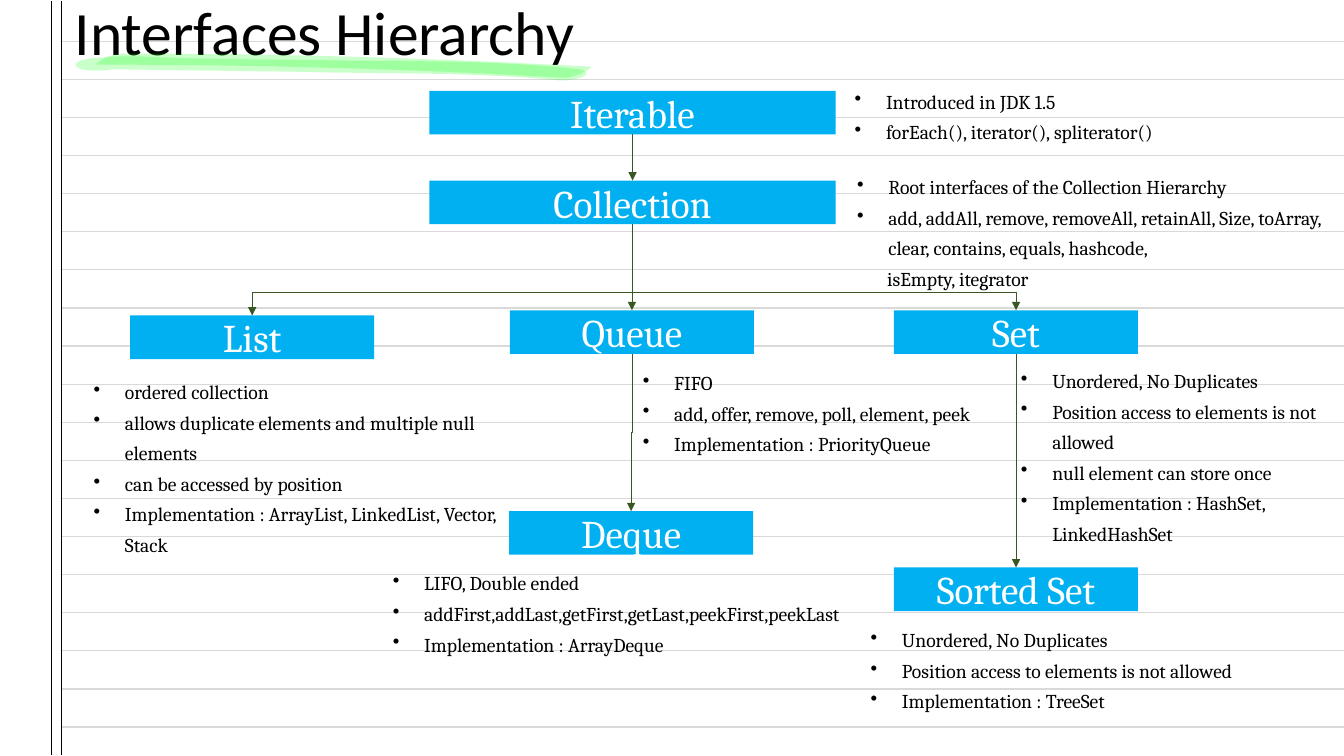
from lxml import etree
from pptx import Presentation
from pptx.dml.color import RGBColor
from pptx.enum.shapes import MSO_CONNECTOR, MSO_SHAPE
from pptx.enum.text import MSO_ANCHOR, PP_ALIGN
from pptx.oxml.ns import qn
from pptx.util import Cm, Pt

STRAIGHT, ELBOW = MSO_CONNECTOR.STRAIGHT, MSO_CONNECTOR.ELBOW
RECT, MIDDLE = MSO_SHAPE.RECTANGLE, MSO_ANCHOR.MIDDLE
LEFT, CENTER = PP_ALIGN.LEFT, PP_ALIGN.CENTER
BLACK = RGBColor(0x00, 0x00, 0x00)
WHITE = RGBColor(0xFF, 0xFF, 0xFF)
RULE = RGBColor(0xD9, 0xD9, 0xD9)
BLUE = RGBColor(0x00, 0xB0, 0xF0)
DARK_GREEN = RGBColor(0x38, 0x57, 0x23)
MARKER = RGBColor(0x00, 0xFF, 0x00)

TITLE = "Interfaces Hierarchy"
WIDE, NARROW, BOX_HEIGHT = 10.24, 6.15, 1.1
BOXES = {
    "Iterable": (10.82, 2.29, WIDE),
    "Collection": (10.82, 4.55, WIDE),
    "List": (3.28, 7.95, NARROW),
    "Queue": (12.85, 7.82, NARROW),
    "Set": (22.53, 7.82, NARROW),
    "Deque": (12.83, 12.88, NARROW),
    "Sorted Set": (22.53, 14.3, NARROW),
}
FORK_Y = 7.37
ARROWS = [
    ("Iterable", "Collection", None),
    ("Collection", "List", FORK_Y),
    ("Collection", "Set", FORK_Y),
    ("Collection", "Queue", None),
    ("Queue", "Deque", None),
    ("Set", "Sorted Set", None),
]
NOTES = [
    ((21.54, 2.08, 9.02, 1.47), ["Introduced in JDK 1.5", "forEach(), iterator(), spliterator()"], None),
    ((21.6, 4.24, 12.45, 3.02), [
        "Root interfaces of the Collection Hierarchy",
        "add, addAll, remove, removeAll, retainAll, Size, toArray, clear, contains, equals, hashcode,",
    ], "isEmpty, itegrator"),
    ((2.36, 9.4, 10.67, 5.36), [
        "ordered collection",
        "allows duplicate elements and multiple null elements",
        "can be accessed by position",
        "Implementation : ArrayList, LinkedList, Vector, Stack",
    ], None),
    ((16.2, 9.17, 9.25, 3.81), [
        "FIFO", "add, offer, remove, poll, element, peek", "Implementation : PriorityQueue",
    ], None),
    ((25.73, 9.12, 8.23, 4.6), [
        "Unordered, No Duplicates",
        "Position access to elements is not allowed",
        "null element can store once",
        "Implementation : HashSet, LinkedHashSet",
    ], None),
    ((9.9, 14.22, 11.48, 3.02), [
        "LIFO, Double ended",
        "addFirst,addLast,getFirst,getLast,peekFirst,peekLast",
        "Implementation : ArrayDeque",
    ], None),
    ((21.94, 15.65, 11.48, 2.26), [
        "Unordered, No Duplicates",
        "Position access to elements is not allowed",
        "Implementation : TreeSet",
    ], None),
]
STROKES = [
    ((3.1, 1.35), [
        (7.09, 1.35, 11.02, 1.47, 14.88, 1.68),
        (14.99, 1.68, 14.53, 1.96, 14.2, 1.96),
        (10.31, 1.73, 6.38, 1.63, 2.41, 1.63),
        (2.39, 1.63, 2.72, 1.35, 3.1, 1.35),
    ]),
    ((3.2, 1.42), [
        (3.76, 1.42, 4.42, 1.47, 4.88, 1.47),
        (6.02, 1.5, 7.14, 1.5, 8.28, 1.52),
        (10.31, 1.55, 12.52, 1.52, 14.43, 1.73),
        (15.09, 1.78, 14.71, 2.03, 14.12, 2.03),
        (14.07, 2.03, 13.99, 2.01, 13.94, 2.01),
        (12.22, 1.85, 10.29, 1.85, 8.43, 1.83),
        (7.42, 1.8, 6.4, 1.8, 5.38, 1.78),
        (4.42, 1.78, 3.6, 1.75, 2.82, 1.75),
        (2.72, 1.78, 2.4, 1.78, 2.31, 1.78),
        (2.08, 1.78, 1.96, 1.7, 1.93, 1.68),
        (1.85, 1.57, 2.06, 1.5, 2.31, 1.47),
        (2.57, 1.45, 2.87, 1.42, 3.2, 1.42),
    ]),
]

prs = Presentation()
prs.slide_width, prs.slide_height = Cm(33.87), Cm(19.05)
s = prs.slides.add_slide(prs.slide_layouts[6])


def write(p, text, size=14, font="Cambria", color=BLACK, align=LEFT, spacing=None, margin=0, bullet=False):
    pPr = p._p.get_or_add_pPr()
    if margin:
        pPr.set("marL", str(Cm(margin)))
        pPr.set("indent", str(-Cm(margin) if bullet else 0))
    if bullet:
        etree.SubElement(pPr, qn("a:buChar")).set("char", "•")
    p.alignment = align
    if spacing:
        p.line_spacing = spacing
    r = p.add_run()
    r.text = text
    r.font.size, r.font.name = Pt(size), font
    r.font.color.rgb = color


def add_box(left, top, width, height):
    tf = s.shapes.add_textbox(Cm(left), Cm(top), Cm(width), Cm(height)).text_frame
    tf.word_wrap = True
    tf.margin_left = tf.margin_right = tf.margin_top = tf.margin_bottom = 0
    return tf


def add_line(kind, x1, y1, x2, y2, color, weight):
    c = s.shapes.add_connector(kind, Cm(x1), Cm(y1), Cm(x2), Cm(y2))
    c.line.color.rgb, c.line.width = color, Pt(weight)
    etree.SubElement(c._element.spPr, qn("a:effectLst"))
    return c


def add_arrow(start, end, bend_y):
    x1, y1 = start.left + start.width // 2, start.top + start.height
    x2, y2 = end.left + end.width // 2, end.top
    c = add_line(ELBOW, 0, 0, 1, 1, DARK_GREEN, 0.5)
    c.begin_connect(start, 2)
    c.end_connect(end, 0)
    drop, run = y2 - y1, abs(x2 - x1)
    spPr = c._element.spPr
    xfrm = spPr.find(qn("a:xfrm"))
    for flip in ("flipH", "flipV"):
        xfrm.attrib.pop(flip, None)
    c.left, c.top = (x1 + x2 - drop) // 2, (y1 + y2 - run) // 2
    c.width, c.height = drop, run
    if x2 > x1:
        xfrm.set("flipH", "1")
    xfrm.set("rot", str((270 if x2 > x1 else 90) * 60000))
    share = (Cm(bend_y) - y1) / drop if bend_y else 0.5
    guide = etree.SubElement(spPr.find(qn("a:prstGeom")).find(qn("a:avLst")), qn("a:gd"))
    guide.set("name", "adj1")
    guide.set("fmla", f"val {round(share * 100000)}")
    etree.SubElement(spPr.find(qn("a:ln")), qn("a:tailEnd")).set("type", "triangle")


def add_stroke(start, curves, steps=12):
    points, (x, y) = [], start
    for ax, ay, bx, by, ex, ey in curves:
        for i in range(1, steps + 1):
            t = i / steps
            k = ((1 - t) ** 3, 3 * t * (1 - t) ** 2, 3 * t * t * (1 - t), t ** 3)
            points.append(tuple(
                Cm(sum(w * v for w, v in zip(k, axis)))
                for axis in ((x, ax, bx, ex), (y, ay, by, ey))
            ))
        x, y = ex, ey
    builder = s.shapes.build_freeform(Cm(start[0]), Cm(start[1]))
    builder.add_line_segments(points, close=True)
    sp = builder.convert_to_shape()
    sp.shadow.inherit = False
    sp.line.fill.background()
    sp.fill.solid()
    sp.fill.fore_color.rgb = MARKER
    etree.SubElement(sp._element.spPr.find(".//" + qn("a:srgbClr")), qn("a:alpha")).set("val", "21000")


for i in range(19):
    y = 1.04 + 0.96 * i
    add_line(STRAIGHT, 1.53, y, 33.87, y, RULE, 0.86)
for x in (1.3, 1.55):
    add_line(STRAIGHT, x, 0.02, x, 19.02, BLACK, 0.62)

write(add_box(1.88, 0.05, 14.55, 2.13).paragraphs[0], TITLE, size=44, font="Calibri", spacing=0.9)
for start, curves in STROKES:
    add_stroke(start, curves)

boxes = {}
for name, (left, top, width) in BOXES.items():
    sp = s.shapes.add_shape(RECT, Cm(left), Cm(top), Cm(width), Cm(BOX_HEIGHT))
    sp.shadow.inherit = False
    sp.fill.solid()
    sp.fill.fore_color.rgb = BLUE
    sp.line.fill.background()
    sp.text_frame.vertical_anchor = MIDDLE
    write(sp.text_frame.paragraphs[0], name, size=28, color=WHITE, align=CENTER)
    boxes[name] = sp

for start, end, bend_y in ARROWS:
    add_arrow(boxes[start], boxes[end], bend_y)

for place, items, tail in NOTES:
    tf = add_box(*place)
    for i, item in enumerate(items):
        p = tf.add_paragraph() if i else tf.paragraphs[0]
        write(p, item, spacing=1.3, margin=0.79, bullet=True)
    if tail:
        write(tf.add_paragraph(), tail, spacing=1.3, margin=0.76)

prs.save("out.pptx")
